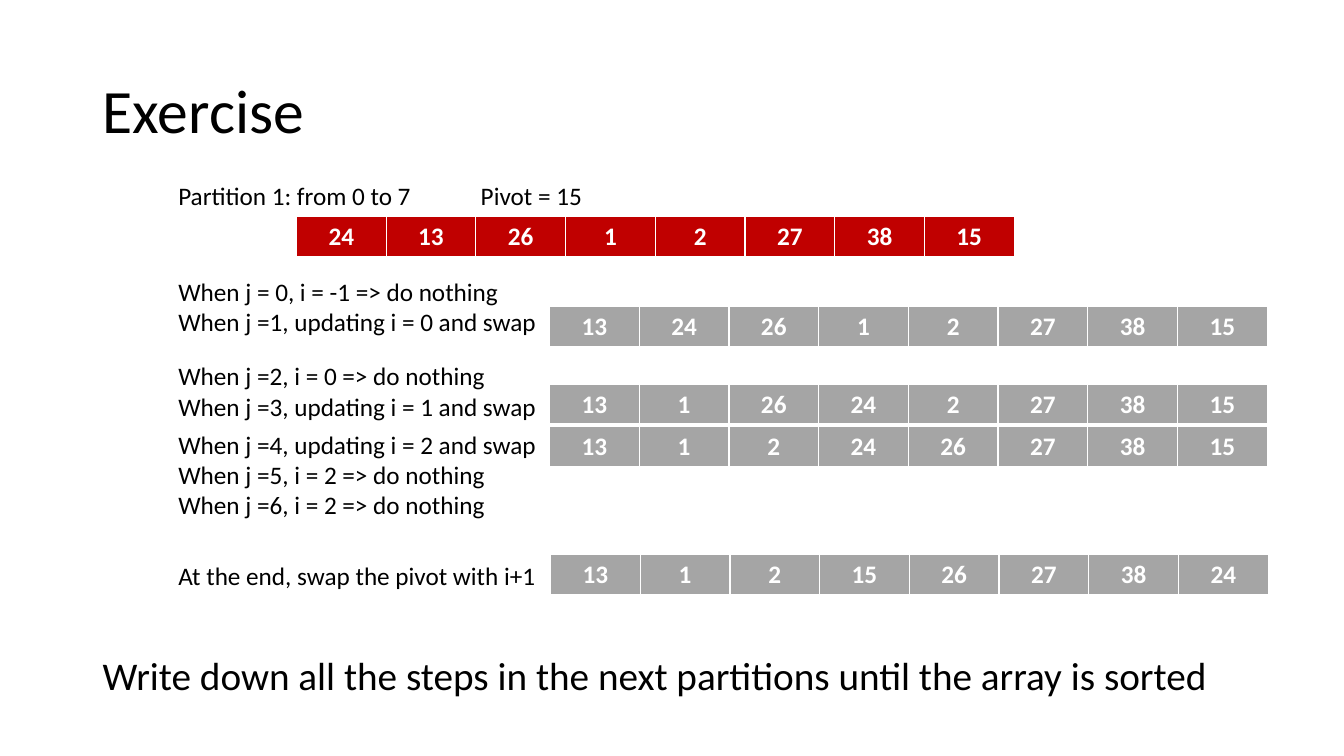
from pptx import Presentation
from pptx.dml.color import RGBColor as RGB
from pptx.enum.text import MSO_ANCHOR as Anchor, MSO_AUTO_SIZE as Fit, PP_ALIGN as Align
from pptx.oxml import parse_xml
from pptx.oxml.ns import nsdecls
from pptx.util import Inches, Pt

HUES = {"ink": "000000", "white": "FFFFFF", "red": "C00000", "gray": "A5A5A5"}
EDGES = {"L": 1, "R": 1, "T": 1, "B": 3}
COL, ROW = 0.89, 0.41


def style(para, size, hue="ink", bold=False):
    look = {"name": "Calibri", "size": Pt(size), "bold": bold}
    for key, value in look.items():
        setattr(para.font, key, value)
    para.font.color.rgb = RGB.from_string(HUES[hue])


deck = Presentation()
deck.slide_width, deck.slide_height = Inches(13.33), Inches(7.5)
slide = deck.slides.add_slide(deck.slide_layouts[5])

# Title
title = slide.shapes.title
spot = {"left": 0.92, "top": 0.4, "width": 11.5, "height": 1.45}
for key, value in spot.items():
    setattr(title, key, Inches(value))
frame = title.text_frame
frame.text = "Exercise"
frame.vertical_anchor = Anchor.MIDDLE
head = frame.paragraphs[0]
head.alignment = Align.LEFT
head.line_spacing = 0.9
style(head, 44)

# Step notes and closing task: left, top, width, height, size, wrap, lines
notes = [
    (1.67, 1.74, 5.26, 0.4, 18, False, ["Partition 1: from 0 to 7\t\tPivot = 15"]),
    (1.67, 2.69, 3.8, 0.71, 18, False,
     ["When j = 0, i = -1 => do nothing", "When j =1, updating i = 0 and swap"]),
    (1.67, 3.53, 3.86, 0.71, 18, False,
     ["When j =2, i = 0 => do nothing", "When j =3, updating i = 1 and swap"]),
    (1.67, 4.21, 3.86, 1.01, 18, False,
     ["When j =4, updating i = 2 and swap", "When j =5, i = 2 => do nothing",
      "When j =6, i = 2 => do nothing"]),
    (1.67, 5.51, 3.79, 0.4, 18, False, ["At the end, swap the pivot with i+1"]),
    (0.92, 6.41, 11.5, 0.57, 28, True,
     ["Write down all the steps in the next partitions until the array is sorted"]),
]
for *place, size, wrap, lines in notes:
    frame = slide.shapes.add_textbox(*map(Inches, place)).text_frame
    frame.word_wrap = wrap
    frame.auto_size = Fit.SHAPE_TO_FIT_TEXT
    frame.text = "\n".join(lines)
    for para in frame.paragraphs:
        style(para, size)

# Array states: left, top, fill, values
states = [
    (2.94, 2.15, "red", [24, 13, 26, 1, 2, 27, 38, 15]),
    (5.45, 3.04, "gray", [13, 24, 26, 1, 2, 27, 38, 15]),
    (5.45, 3.81, "gray", [13, 1, 26, 24, 2, 27, 38, 15]),
    (5.45, 4.23, "gray", [13, 1, 2, 24, 26, 27, 38, 15]),
    (5.46, 5.5, "gray", [13, 1, 2, 15, 26, 27, 38, 24]),
]
for left, top, hue, values in states:
    count = len(values)
    grid = slide.shapes.add_table(1, count, Inches(left), Inches(top),
                                  Inches(COL * count), Inches(ROW)).table
    for col, value in enumerate(values):
        grid.columns[col].width = Inches(COL)
        cell = grid.cell(0, col)
        cell.text = str(value)
        para = cell.text_frame.paragraphs[0]
        para.alignment = Align.CENTER
        style(para, 18, "white", True)
        # Borders go before the fill
        props = cell._tc.get_or_add_tcPr()
        for side, width in EDGES.items():
            props.append(parse_xml(
                f'<a:ln{side} {nsdecls("a")} w="{Pt(width)}"><a:solidFill>'
                f'<a:srgbClr val="{HUES["white"]}"/></a:solidFill></a:ln{side}>'))
        cell.fill.solid()
        cell.fill.fore_color.rgb = RGB.from_string(HUES[hue])

deck.save("out.pptx")
